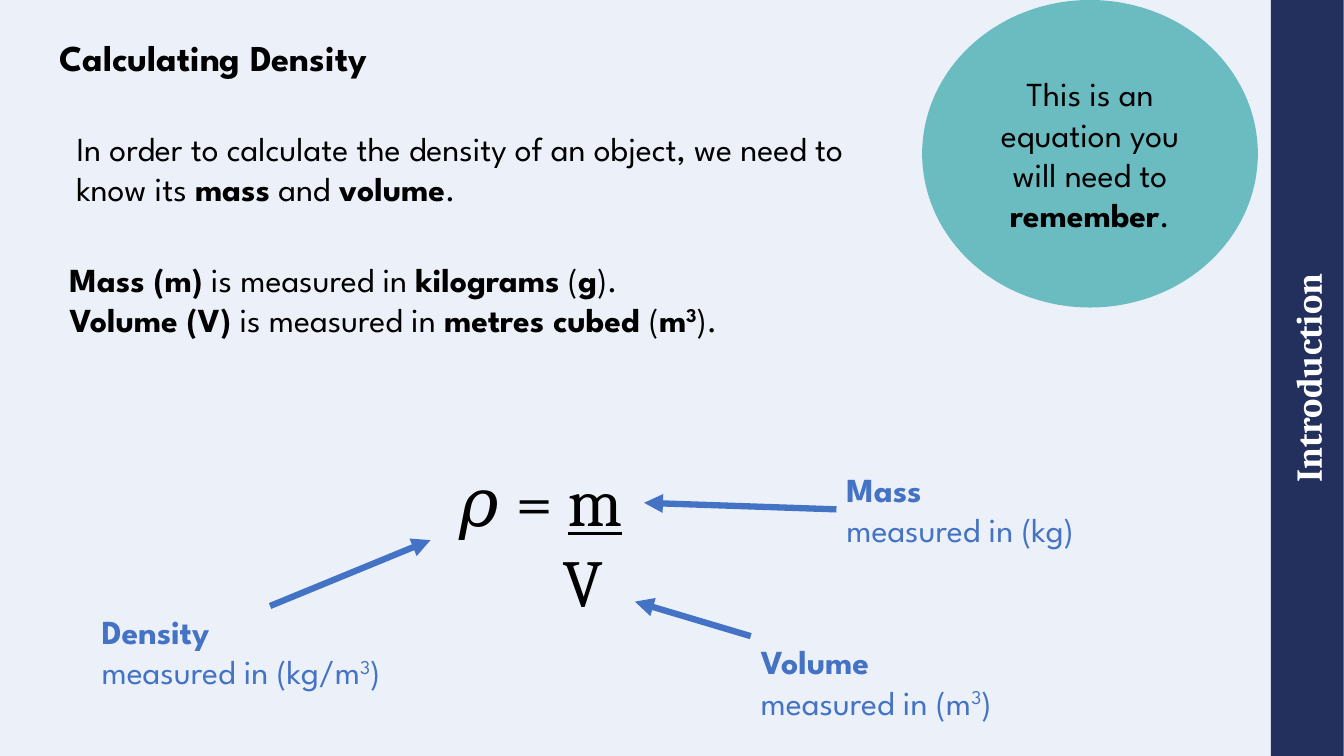
from dataclasses import dataclass

import pptx
import pptx.dml.color
import pptx.enum.shapes
import pptx.enum.text
import pptx.oxml
import pptx.oxml.ns
import pptx.util
from pptx.util import Cm


@dataclass(frozen=True)
class Theme:
    background: str = "ECF1F9"
    navy: str = "232F5D"
    blue: str = "4472C4"
    teal: str = "009193"
    black: str = "000000"
    white: str = "FFFFFF"
    body_font: str = "League Spartan"
    serif_font: str = "Cambria"
    heading_size: int = 26
    body_size: int = 24
    equation_size: int = 48
    arrow_width: float = 4.5


THEME = Theme()
BOLD = {"bold": True}
UNDERLINE = {"underline": True}
SUPERSCRIPT = {"superscript": True}
ANCHOR = pptx.enum.text.MSO_ANCHOR
ALIGN = pptx.enum.text.PP_ALIGN


def rgb(value):
    return pptx.dml.color.RGBColor.from_string(value)


def add_xml(parent, tag, **attributes):
    child = pptx.oxml.parse_xml(f"<{tag} {pptx.oxml.ns.nsdecls('a')}/>")
    for name, value in attributes.items():
        child.set(name, value)
    parent.append(child)


def write_text(shape, paragraphs, size=THEME.body_size, font=THEME.body_font,
               color=THEME.black, frame_format=None, paragraph_formats=()):
    """Write paragraphs of runs; a run is plain text or a (text, format) pair."""
    frame = shape.text_frame
    for name, value in {"word_wrap": True, **(frame_format or {})}.items():
        setattr(frame, name, value)
    for index, runs in enumerate(paragraphs):
        paragraph = frame.paragraphs[0] if index == 0 else frame.add_paragraph()
        if index < len(paragraph_formats):
            for name, value in paragraph_formats[index].items():
                setattr(paragraph, name, value)
        for item in runs:
            text, run_format = (item, {}) if isinstance(item, str) else item
            run = paragraph.add_run()
            run.text = text
            run.font.color.rgb = rgb(color)
            values = {"name": font, "size": pptx.util.Pt(size), "bold": False, **run_format}
            if values.pop("superscript", False):
                run.font._element.set("baseline", "30000")
            for name, value in values.items():
                setattr(run.font, name, value)


def add_text(slide, box, paragraphs, **options):
    shape = slide.shapes.add_textbox(*map(Cm, box))
    write_text(shape, paragraphs, **options)
    return shape


def add_label(slide, left, top, width, quantity, unit):
    return add_text(slide, (left, top, width, 2.31),
                    [[(quantity, BOLD)], ["measured in (", *unit, ")"]], color=THEME.blue)


def add_filled_shape(slide, kind, box, color):
    shape = slide.shapes.add_shape(kind, *map(Cm, box))
    shape.shadow.inherit = False
    shape.fill.solid()
    shape.fill.fore_color.rgb = rgb(color)
    shape.line.fill.background()
    return shape


def add_arrow(slide, start, end, label=None, site=0):
    """Draw an arrow, joined at its start to a side of the label if one is given."""
    arrow = slide.shapes.add_connector(
        pptx.enum.shapes.MSO_CONNECTOR.STRAIGHT, *map(Cm, (*start, *end)))
    if label is not None:
        arrow.begin_connect(label, site)
    arrow.line.color.rgb = rgb(THEME.blue)
    arrow.line.width = pptx.util.Pt(THEME.arrow_width)
    add_xml(arrow.line._get_or_add_ln(), "a:tailEnd", type="triangle")
    add_xml(arrow._element.spPr, "a:effectLst")


def add_section_bar(slide):
    bar = add_filled_shape(slide, pptx.enum.shapes.MSO_SHAPE.RECTANGLE,
                           (23.42, 8.61, 19.05, 1.83), THEME.navy)
    bar.rotation = 270
    write_text(bar, [[("Introduction", BOLD)]], size=THEME.heading_size,
               font=THEME.serif_font, color=THEME.white,
               frame_format={"vertical_anchor": ANCHOR.MIDDLE, "margin_left": 0,
                             "margin_right": 0, "margin_top": 0, "margin_bottom": 0},
               paragraph_formats=[{"alignment": ALIGN.CENTER}])


def add_reminder(slide):
    circle = add_filled_shape(slide, pptx.enum.shapes.MSO_SHAPE.OVAL,
                              (23.24, 0, 8.46, 7.75), THEME.teal)
    color = circle._element.spPr.find(".//" + pptx.oxml.ns.qn("a:srgbClr"))
    add_xml(color, "a:alpha", val="55000")
    write_text(circle, [["This is an equation you will need to ", ("remember", BOLD), "."]],
               frame_format={"vertical_anchor": ANCHOR.MIDDLE},
               paragraph_formats=[{"alignment": ALIGN.CENTER}])


def add_explanation(slide):
    add_text(slide, (1.5, 0, 29.49, 2.01), [[("Calculating Density", BOLD)]],
             size=THEME.heading_size,
             frame_format={"vertical_anchor": ANCHOR.BOTTOM, "margin_left": 0,
                           "margin_right": 0, "margin_top": 0, "margin_bottom": 0},
             paragraph_formats=[{"line_spacing": 0.9}])
    add_text(slide, (1.68, 3.1, 21.16, 2.31),
             [["In order to calculate the density of an object, we need to know its ",
               ("mass", BOLD), " and ", ("volume", BOLD), "."]])
    add_text(slide, (1.5, 6.4, 19.99, 2.31), [
        [("Mass (m)", BOLD), " is measured in ", ("kilograms", BOLD), " (", ("g", BOLD), ")."],
        [("Volume (V)", BOLD), " is measured in ", ("metres cubed ", BOLD), "(",
         ("m", BOLD), ("3", BOLD | SUPERSCRIPT), ")."],
    ])


def add_equation(slide):
    equation = add_text(slide, (11.33, 11.46, 4.98, 4.37), [["𝜌 = ", ("m", UNDERLINE)], ["V"]],
                        size=THEME.equation_size, font=THEME.serif_font)
    denominator = equation.text_frame.paragraphs[1]
    denominator._p.get_or_add_pPr().set("marL", str(Cm(2.6)))

    density = add_label(slide, 2.31, 15.27, 8.99, "Density", ["kg/m", ("3", SUPERSCRIPT)])
    add_label(slide, 18.92, 16.03, 7.62, "Volume", ["m", ("3", SUPERSCRIPT)])
    mass = add_label(slide, 21.08, 11.68, 7.52, "Mass", ["kg"])

    add_arrow(slide, (6.81, 15.27), (10.85, 13.61), density, 0)
    add_arrow(slide, (18.92, 16.03), (16, 15.16))
    add_arrow(slide, (21.08, 12.83), (16.23, 12.67), mass, 1)


def main():
    presentation = pptx.Presentation()
    presentation.slide_width = Cm(33.87)
    presentation.slide_height = Cm(19.05)
    slide = presentation.slides.add_slide(presentation.slide_layouts[6])
    slide.background.fill.solid()
    slide.background.fill.fore_color.rgb = rgb(THEME.background)

    add_section_bar(slide)
    add_explanation(slide)
    add_equation(slide)
    add_reminder(slide)
    presentation.save("out.pptx")


if __name__ == "__main__":
    main()
